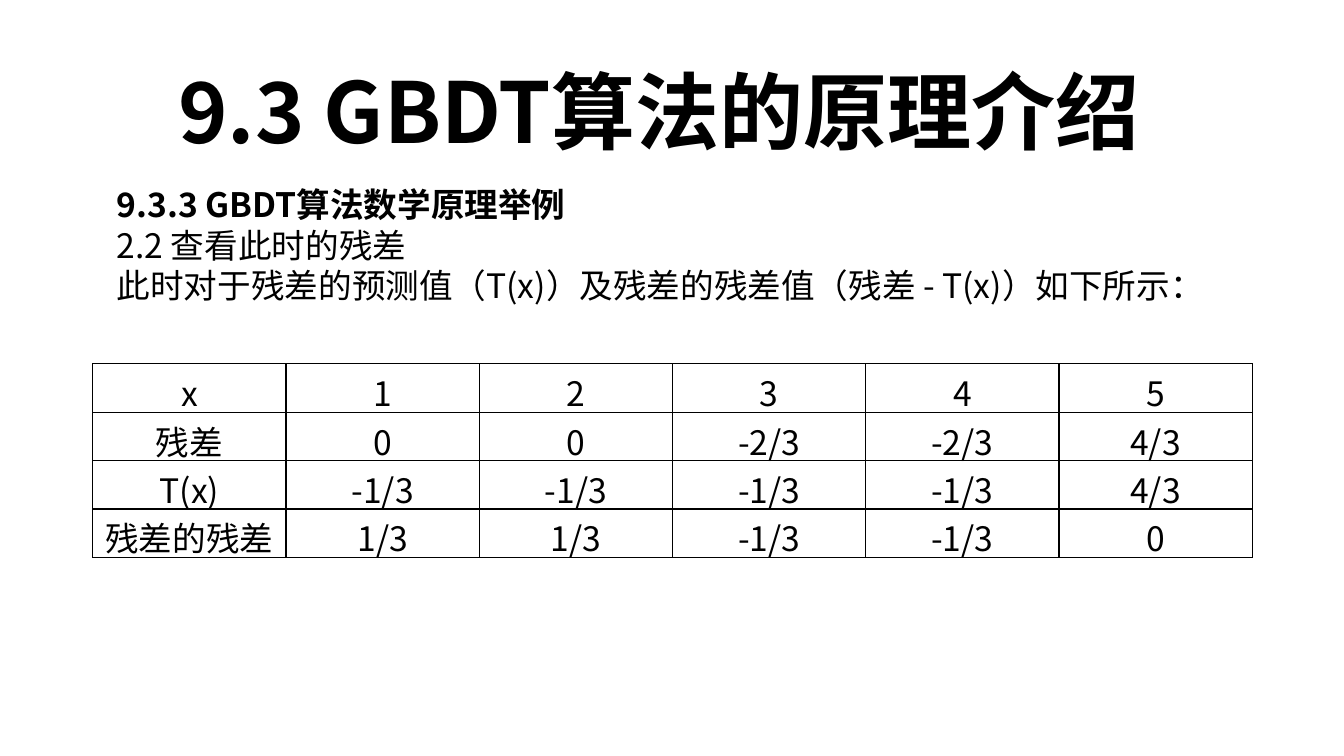
from lxml import etree
from pptx import Presentation
from pptx.dml.color import RGBColor
from pptx.enum.text import MSO_ANCHOR, MSO_AUTO_SIZE, PP_ALIGN
from pptx.oxml.ns import qn
from pptx.util import Inches, Pt

BLACK = RGBColor(0, 0, 0)
FONT = "Noto Sans CJK SC"
CENTER = PP_ALIGN.CENTER
MIDDLE = MSO_ANCHOR.MIDDLE
FIT_SHAPE = MSO_AUTO_SIZE.SHAPE_TO_FIT_TEXT

TITLE = ["9.3 GBDT算法的原理介绍"]
INTRO = [
    "9.3.3 GBDT算法数学原理举例",
    "2.2 查看此时的残差",
    "此时对于残差的预测值（T(x)）及残差的残差值（残差 - T(x)）如下所示：",
]
RESIDUALS = [
    ["x", "1", "2", "3", "4", "5"],
    ["残差", "0", "0", "-2/3", "-2/3", "4/3"],
    ["T(x)", "-1/3", "-1/3", "-1/3", "-1/3", "4/3"],
    ["残差的残差", "1/3", "1/3", "-1/3", "-1/3", "0"],
]


def style_paragraph(p, size, bold=False):
    for r in p.runs:
        r.font.name = FONT
        r.font.size = Pt(size)
        r.font.bold = bold
        r.font.color.rgb = BLACK
        # East Asian glyphs take their typeface from a separate element
        etree.SubElement(r.font._element, qn("a:ea"), typeface=FONT)


def add_text(s, left, top, width, height, lines, size, wrap=True):
    """Add a text box whose first line is bold."""
    box = s.shapes.add_textbox(Inches(left), Inches(top), Inches(width), Inches(height))
    tf = box.text_frame
    tf.word_wrap = wrap
    tf.auto_size = FIT_SHAPE
    tf.text = "\n".join(lines)
    for i, p in enumerate(tf.paragraphs):
        style_paragraph(p, size, bold=i == 0)


def add_borders(cell):
    tc_pr = cell._tc.get_or_add_tcPr()
    for i, side in enumerate(("lnL", "lnR", "lnT", "lnB")):
        ln = etree.Element(qn(f"a:{side}"), w=str(Pt(1)))
        fill = etree.SubElement(ln, qn("a:solidFill"))
        etree.SubElement(fill, qn("a:srgbClr"), val=str(BLACK))
        tc_pr.insert(i, ln)


def fill_cell(cell, text):
    cell.text = text
    cell.vertical_anchor = MIDDLE
    cell.margin_left = cell.margin_right = Inches(0.1)
    cell.margin_top = cell.margin_bottom = Inches(0.04)
    cell.fill.background()
    p = cell.text_frame.paragraphs[0]
    p.alignment = CENTER
    style_paragraph(p, 24)
    add_borders(cell)


def add_residual_table(s):
    height = Inches(1.93)
    frame = s.shapes.add_table(len(RESIDUALS), len(RESIDUALS[0]),
                               Inches(0.92), Inches(3.61), Inches(11.5), height)
    table = frame.table
    table.first_row = table.horz_banding = False
    for row, values in zip(table.rows, RESIDUALS):
        row.height = Inches(0.31)
        for cell, text in zip(row.cells, values):
            fill_cell(cell, text)
    frame.height = height


def main():
    prs = Presentation()
    prs.slide_width, prs.slide_height = Inches(13.33), Inches(7.5)
    s = prs.slides.add_slide(prs.slide_layouts[6])
    add_text(s, 1.67, 0.54, 10, 1.11, TITLE, 60, wrap=False)
    add_text(s, 1.06, 1.78, 11.21, 1.31, INTRO, 24)
    add_residual_table(s)
    prs.save("out.pptx")


if __name__ == "__main__":
    main()
